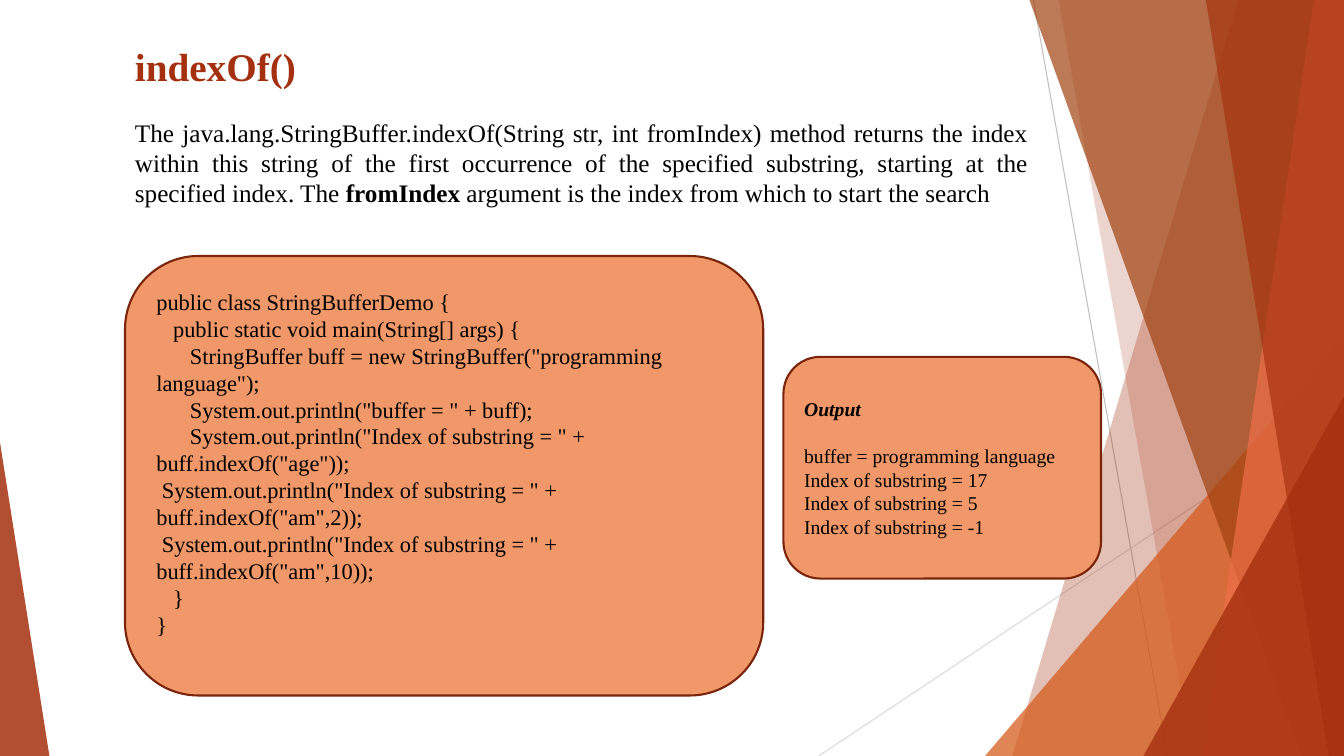
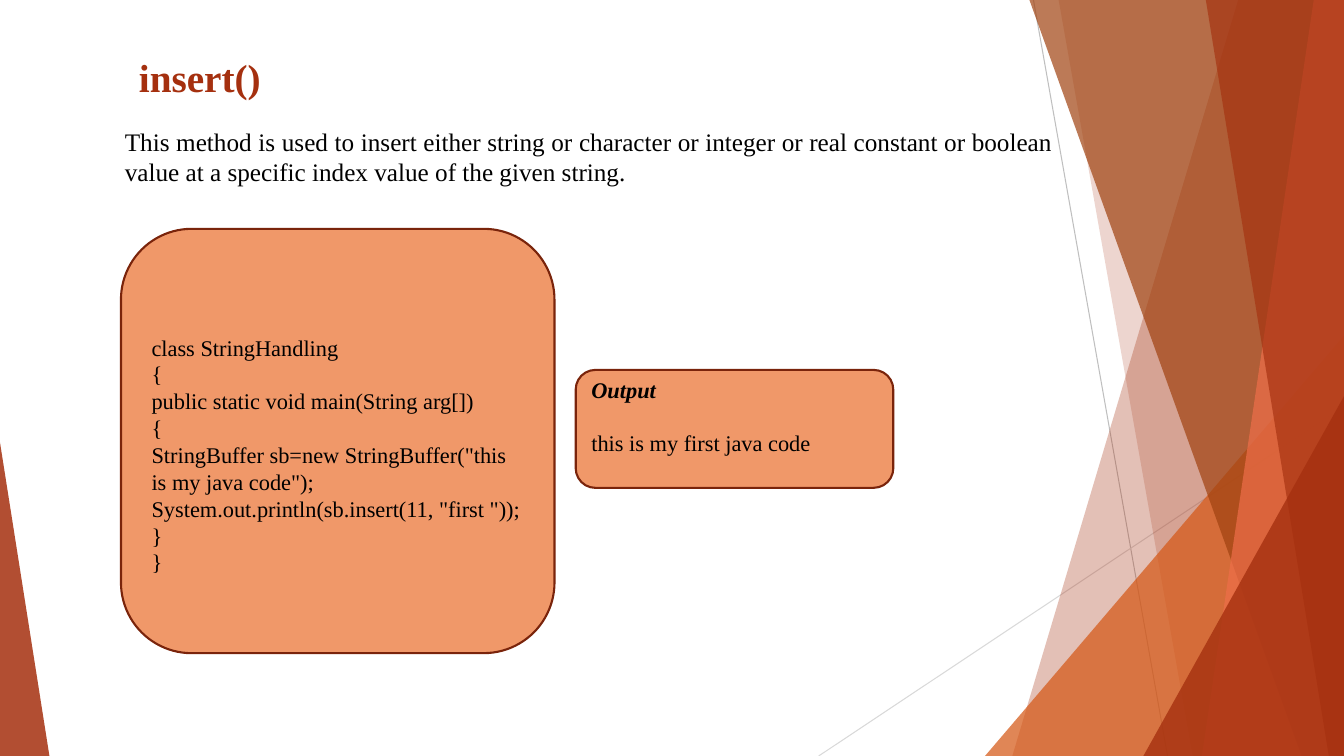
from lxml.etree import SubElement
from pptx import Presentation
from pptx.dml.color import RGBColor
from pptx.enum.shapes import MSO_CONNECTOR, MSO_SHAPE
from pptx.enum.text import MSO_ANCHOR, PP_ALIGN
from pptx.oxml.ns import qn
from pptx.util import Inches, Pt

WIDTH, HEIGHT = 13.33, 7.5
FONT = "Times New Roman"
RED, ORANGE, BROWN, CORAL = "A5300F", "D55816", "A04210", "EE6E4A"
PANEL_FILL, PANEL_LINE, BLACK = "F09869", "7A240B", "000000"
CORNER = 1 / 6
LINE_HEIGHT = 1.2
SPACE_WIDTH = 0.25

# start, end, colour
LINES = [
    ((10.25, 0), (11.58, HEIGHT), "BFBFBF"),
    ((WIDTH, 4.03), (8.12, HEIGHT), "D9D9D9"),
]
# ("band", x at the top, x at the bottom, colour, opacity) runs to the right edge
# ("triangle", left, top, width, apex, colour, opacity) stands on the bottom edge
FACETS = [
    ("band", 12.28, 10.04, RED, 30),
    ("band", 10.5, 11.83, RED, 20),
    ("triangle", 9.77, 3.33, 3.56, 1, ORANGE, 72),
    ("band", 10.21, 12.91, BROWN, 70),
    ("band", 13.03, 11.92, CORAL, 70),
    ("band", 11.96, 13.18, RED, 65),
    ("triangle", 11.34, 3.93, 1.99, 1, RED, 80),
    ("triangle", 0, 4.39, 0.49, 0, RED, 85),
]

INDEX_OF = {
    "title": ("indexOf()", (1.24, 0.37, 7.42, 0.56)),
    "body": (
        [
            ("The java.lang.StringBuffer.indexOf(String str, int fromIndex) method "
             "returns the index within this string of the first occurrence of the "
             "specified substring, starting at the specified index. The ", False),
            ("fromIndex", True),
            (" argument is the index from which to start the search", False),
        ],
        (1.24, 1.11, 9.06, 1.01),
    ),
    # (indent in characters, line of code)
    "code": (
        [
            (0, "public class StringBufferDemo {"),
            (3, "public static void main(String[] args) {"),
            (6, 'StringBuffer buff = new StringBuffer("programming language");'),
            (6, 'System.out.println("buffer = " + buff);'),
            (6, 'System.out.println("Index of substring = " + buff.indexOf("age"));'),
            (1, 'System.out.println("Index of substring = " + buff.indexOf("am",2));'),
            (1, 'System.out.println("Index of substring = " + buff.indexOf("am",10));'),
            (3, "}"),
            (0, "}"),
        ],
        (1.24, 2.54, 6.33, 4.36), 2.86,
    ),
    "output": (
        ["buffer = programming language", "Index of substring = 17",
         "Index of substring = 5", "Index of substring = -1"],
        (7.77, 3.54, 3.15, 2.2), 3.94, 14,
    ),
}
INSERT = {
    "title": ("insert()", (1.28, 0.48, 7.5, 0.47)),
    "body": (
        [("This method is used to insert either string or character or integer or "
          "real constant or boolean value at a specific index value of the given "
          "string.", False)],
        (1.14, 1.2, 9.4, 0.71),
    ),
    "code": (
        [
            (0, "class StringHandling"),
            (0, "{"),
            (0, "public static void main(String arg[])"),
            (0, "{"),
            (0, 'StringBuffer sb=new StringBuffer("this is my java code");'),
            (0, 'System.out.println(sb.insert(11, "first "));'),
            (0, "}"),
            (0, "}"),
        ],
        (1.2, 2.27, 4.3, 4.21), 3.31,
    ),
    "output": (["this is my first java code"], (5.71, 3.67, 3.15, 1.17), 3.72, 16),
}


def color(hex_value):
    return RGBColor.from_string(hex_value)


def inches(values):
    return [Inches(value) for value in values]


def fill_facet(shape, hex_value, opacity):
    shape.shadow.inherit = False
    shape.fill.solid()
    shape.fill.fore_color.rgb = color(hex_value)
    shape.line.fill.background()
    solid_fill = shape.fill._xPr.find(qn("a:solidFill"))
    SubElement(solid_fill[0], qn("a:alpha")).set("val", str(opacity * 1000))


def add_line(slide, start, end, hex_value):
    line = slide.shapes.add_connector(MSO_CONNECTOR.STRAIGHT, *inches(start + end))
    line.line.color.rgb = color(hex_value)
    line.line.width = Pt(0.75)
    SubElement(line._element.spPr, qn("a:effectLst"))


def add_band(slide, top_x, bottom_x, hex_value, opacity):
    corners = [(WIDTH, 0), (WIDTH, HEIGHT), (bottom_x, HEIGHT)]
    builder = slide.shapes.build_freeform(Inches(top_x), 0)
    builder.add_line_segments([inches(corner) for corner in corners], close=True)
    fill_facet(builder.convert_to_shape(), hex_value, opacity)


def add_triangle(slide, left, top, width, apex, hex_value, opacity):
    shape = slide.shapes.add_shape(
        MSO_SHAPE.ISOSCELES_TRIANGLE, *inches((left, top, width, HEIGHT - top)))
    shape.adjustments[0] = apex
    fill_facet(shape, hex_value, opacity)


def add_backdrop(slide):
    for line in LINES:
        add_line(slide, *line)
    draw = {"band": add_band, "triangle": add_triangle}
    for kind, *facet in FACETS:
        draw[kind](slide, *facet)


def add_run(paragraph, text, size, hex_value=BLACK, bold=False, italic=False):
    run = paragraph.add_run()
    run.text = text
    run.font.name = FONT
    run.font.size = Pt(size)
    run.font.bold = bold
    run.font.italic = italic
    run.font.color.rgb = color(hex_value)


def add_text_box(slide, box):
    """Add a wrapping text box and return its first paragraph."""
    frame = slide.shapes.add_textbox(*inches(box)).text_frame
    frame.word_wrap = True
    return frame.paragraphs[0]


def add_title(slide, text, box):
    add_run(add_text_box(slide, box), text, 28, RED, bold=True)


def add_body(slide, runs, box):
    paragraph = add_text_box(slide, box)
    paragraph.alignment = PP_ALIGN.JUSTIFY
    for text, bold in runs:
        add_run(paragraph, text, 18, bold=bold)


def add_panel(slide, box, text_top):
    """Add a rounded panel whose text starts at text_top; return its text frame."""
    shape = slide.shapes.add_shape(MSO_SHAPE.ROUNDED_RECTANGLE, *inches(box))
    shape.adjustments[0] = CORNER
    shape.shadow.inherit = False
    shape.fill.solid()
    shape.fill.fore_color.rgb = color(PANEL_FILL)
    shape.line.color.rgb = color(PANEL_LINE)
    shape.line.width = Pt(1.5)
    frame = shape.text_frame
    frame.word_wrap = True
    frame.vertical_anchor = MSO_ANCHOR.TOP
    _, top, width, height = box
    corner_inset = min(width, height) * CORNER * (1 - 0.5 ** 0.5)
    frame.margin_top = Inches(max(0, text_top - top - corner_inset))
    frame.margin_bottom = 0
    return frame


def add_left_paragraph(frame, is_first):
    paragraph = frame.paragraphs[0] if is_first else frame.add_paragraph()
    paragraph.alignment = PP_ALIGN.LEFT
    return paragraph


def add_code(slide, lines, box, text_top, size=16):
    frame = add_panel(slide, box, text_top)
    for index, (indent, text) in enumerate(lines):
        paragraph = add_left_paragraph(frame, index == 0)
        first_line = Pt(indent * SPACE_WIDTH * size)
        paragraph._p.get_or_add_pPr().set("indent", str(int(first_line)))
        add_run(paragraph, text, size)


def add_output(slide, lines, box, text_top, size):
    frame = add_panel(slide, box, text_top)
    heading = add_left_paragraph(frame, True)
    heading.space_after = Pt(size * LINE_HEIGHT)
    add_run(heading, "Output", size, bold=True, italic=True)
    for text in lines:
        add_run(add_left_paragraph(frame, False), text, size)


def add_method_slide(presentation, content):
    slide = presentation.slides.add_slide(presentation.slide_layouts[6])
    add_backdrop(slide)
    add_title(slide, *content["title"])
    add_body(slide, *content["body"])
    add_code(slide, *content["code"])
    add_output(slide, *content["output"])


def main():
    presentation = Presentation()
    presentation.slide_width = Inches(WIDTH)
    presentation.slide_height = Inches(HEIGHT)
    for content in (INDEX_OF, INSERT):
        add_method_slide(presentation, content)
    presentation.save("out.pptx")


if __name__ == "__main__":
    main()
